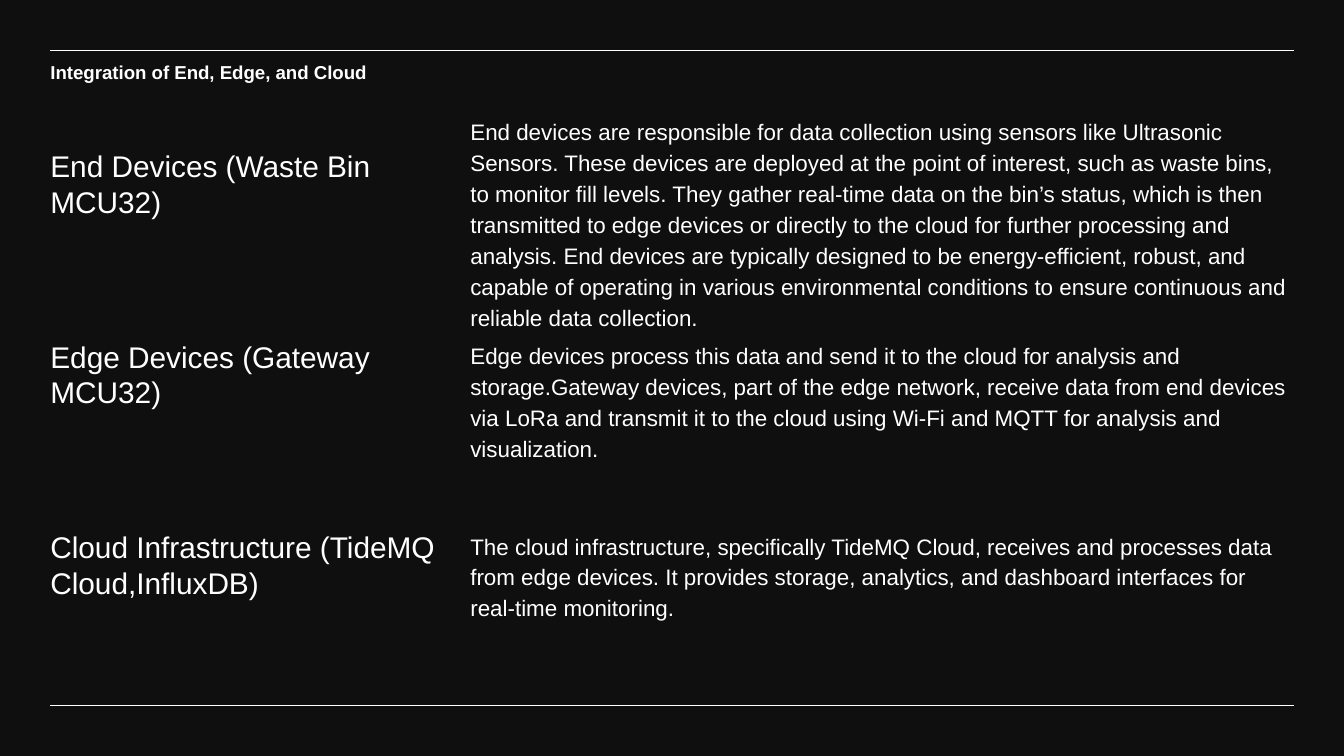
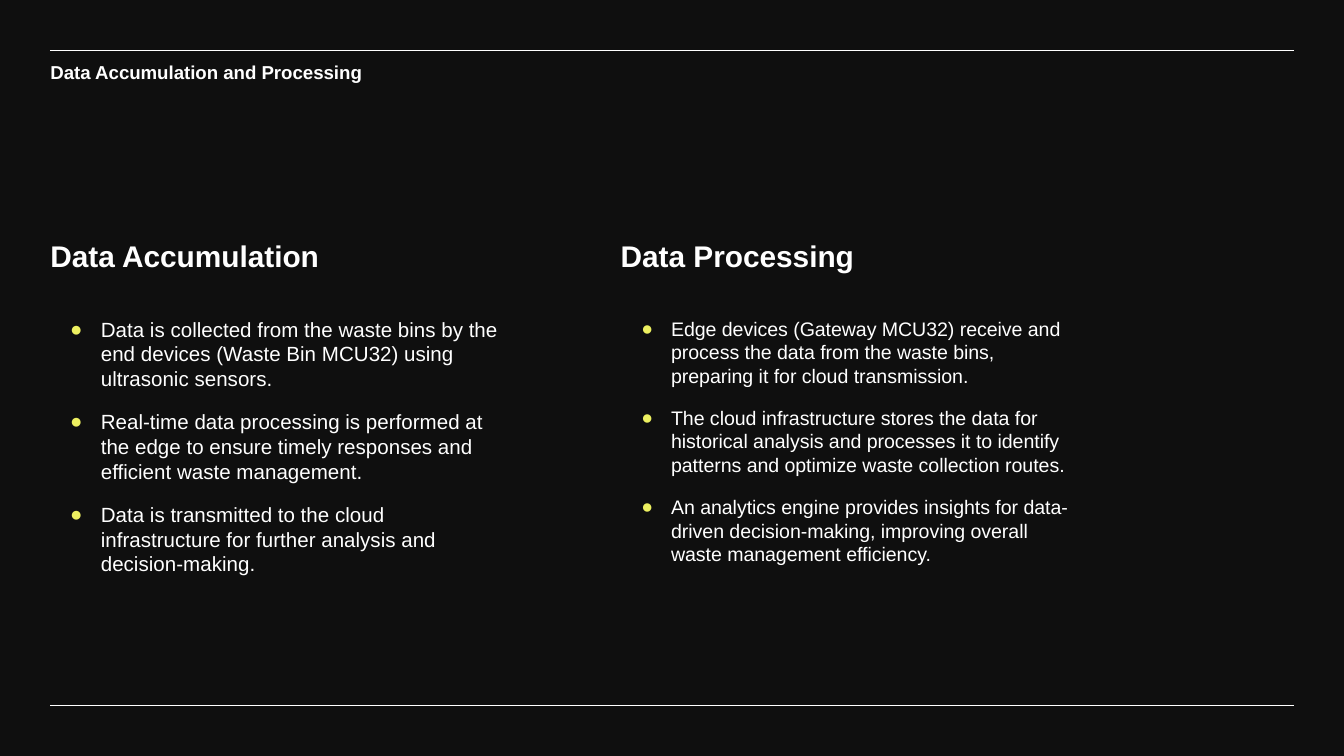
"""Build two dark slides on device integration and data processing."""
from lxml import etree
from pptx import Presentation
from pptx.dml.color import RGBColor
from pptx.enum.shapes import MSO_CONNECTOR
from pptx.enum.text import MSO_ANCHOR, MSO_AUTO_SIZE, PP_ALIGN
from pptx.oxml.ns import qn
from pptx.util import Pt

STRAIGHT = MSO_CONNECTOR.STRAIGHT
TOP, BOTTOM = MSO_ANCHOR.TOP, MSO_ANCHOR.BOTTOM
LEFT = PP_ALIGN.LEFT
NO_FIT = MSO_AUTO_SIZE.NONE

BACKGROUND = RGBColor(0x0F, 0x0F, 0x0F)
WHITE = RGBColor(0xFF, 0xFF, 0xFF)
YELLOW = RGBColor(0xED, 0xF0, 0x60)
FONT = "Arial"
WIDTH, HEIGHT, MARGIN = 720, 405, 27
INSET = 7.2
TITLE_ONLY = 5

ROW_TOP, ROW_PITCH = 72, 102
DEVICES = [
    ("End Devices (Waste Bin MCU32)", 54, 112,
     "End devices are responsible for data collection using sensors like "
     "Ultrasonic Sensors. These devices are deployed at the point of interest, "
     "such as waste bins, to monitor fill levels. They gather real-time data on "
     "the bin’s status, which is then transmitted to edge devices or directly "
     "to the cloud for further processing and analysis. End devices are "
     "typically designed to be energy-efficient, robust, and capable of "
     "operating in various environmental conditions to ensure continuous and "
     "reliable data collection."),
    ("Edge Devices (Gateway MCU32)", 174, 78.5,
     "Edge devices process this data and send it to the cloud for analysis and "
     "storage.Gateway devices, part of the edge network, receive data from end "
     "devices via LoRa and transmit it to the cloud using Wi-Fi and MQTT for "
     "analysis and visualization."),
    ("Cloud Infrastructure (TideMQ Cloud,InfluxDB)", 276, 73,
     "The cloud infrastructure, specifically TideMQ Cloud, receives and "
     "processes data from edge devices. It provides storage, analytics, and "
     "dashboard interfaces for real-time monitoring."),
]

COLUMN_PITCH, COLUMN_WIDTH = 305.5, 242
STAGES = [
    ("Data Accumulation", 11, 16.5, [
        "Data is collected from the waste bins by the end devices (Waste Bin "
        "MCU32) using ultrasonic sensors.",
        "Real-time data processing is performed at the edge to ensure timely "
        "responses and efficient waste management.",
        "Data is transmitted to the cloud infrastructure for further analysis "
        "and decision-making."]),
    ("Data Processing", 10.5, 16, [
        "Edge devices (Gateway MCU32) receive and process the data from the "
        "waste bins, preparing it for cloud transmission.",
        "The cloud infrastructure stores the data for historical analysis and "
        "processes it to identify patterns and optimize waste collection "
        "routes.",
        "An analytics engine provides insights for data-driven "
        "decision-making, improving overall waste management efficiency."]),
]


def add_bullet(para, hanging):
    """Give a paragraph a yellow dot and a hanging indent."""
    properties = para._p.get_or_add_pPr()
    properties.set("marL", str(Pt(27)))
    properties.set("indent", str(-Pt(hanging)))
    colour = etree.SubElement(properties, qn("a:buClr"))
    etree.SubElement(colour, qn("a:srgbClr"), val=str(YELLOW))
    etree.SubElement(properties, qn("a:buFont"), typeface=FONT)
    etree.SubElement(properties, qn("a:buChar"), char="●")


def write_text(box, texts, *, size, bold=False, anchor=TOP, right_inset=0,
               spacing=1.0, gap=0, after=0, hanging=None):
    """Fill a box with one paragraph per text in the given format."""
    frame = box.text_frame
    frame.word_wrap = True
    frame.auto_size = NO_FIT
    frame.vertical_anchor = anchor
    frame.margin_left, frame.margin_right = 0, Pt(right_inset)
    frame.margin_top = frame.margin_bottom = Pt(INSET)
    for index, text in enumerate(texts):
        para = frame.add_paragraph() if index else frame.paragraphs[0]
        para.text = text
        para.alignment = LEFT
        para.line_spacing = spacing
        if index:
            para.space_before = Pt(gap)
        if hanging:
            add_bullet(para, hanging)
        span = para.runs[0]
        span.font.name, span.font.size = FONT, Pt(size)
        span.font.bold, span.font.color.rgb = bold, WHITE
    para.space_after = Pt(after)


def add_text(page, texts, left, top, width, height, **style):
    """Add a text box at a place given in points."""
    box = page.shapes.add_textbox(Pt(left), Pt(top), Pt(width), Pt(height))
    write_text(box, texts, **style)


def add_heading(page, text, left, top, width, height, **style):
    """Add a section heading."""
    add_text(page, [text], left, top, width, height, size=16,
             right_inset=INSET, after=8, **style)


def add_rule(page, top):
    """Draw a thin white line between the side margins."""
    rule = page.shapes.add_connector(
        STRAIGHT, Pt(MARGIN), Pt(top), Pt(WIDTH - MARGIN), Pt(top))
    rule.line.color.rgb = WHITE
    rule.line.width = Pt(0.75)
    etree.SubElement(rule._element.spPr, qn("a:effectLst"))


def add_page(deck, title):
    """Add a slide with its title and both rules."""
    page = deck.slides.add_slide(deck.slide_layouts[TITLE_ONLY])
    for top in (MARGIN, HEIGHT - MARGIN):
        add_rule(page, top)
    box = page.shapes.title
    box.left, box.top, box.width, box.height = Pt(MARGIN), Pt(28), Pt(423), Pt(28)
    write_text(box, [title], size=10, bold=True, spacing=0.75)
    return page


def add_integration_page(deck):
    """Pair each device tier with its description."""
    page = add_page(deck, "Integration of End, Edge, and Cloud")
    for row, (heading, top, height, body) in enumerate(DEVICES):
        add_heading(page, heading, MARGIN, ROW_TOP + row * ROW_PITCH, 215.5, ROW_PITCH)
        add_text(page, [body], 252, top, 441, height, size=12, spacing=1.15, after=10)


def add_processing_page(deck):
    """Set the two data stages side by side."""
    page = add_page(deck, "Data Accumulation and Processing")
    for column, (heading, size, hanging, points) in enumerate(STAGES):
        left = MARGIN + column * COLUMN_PITCH
        add_heading(page, heading, left, 85.5, COLUMN_WIDTH, 68, bold=True, anchor=BOTTOM)
        add_text(page, points, left, 162.5, COLUMN_WIDTH, 196, size=size,
                 gap=10, after=10, hanging=hanging)


def main():
    """Build and save the deck."""
    deck = Presentation()
    deck.slide_width, deck.slide_height = Pt(WIDTH), Pt(HEIGHT)
    fill = deck.slide_master.background.fill
    fill.solid()
    fill.fore_color.rgb = BACKGROUND
    add_integration_page(deck)
    add_processing_page(deck)
    deck.save("out.pptx")


if __name__ == "__main__":
    main()
